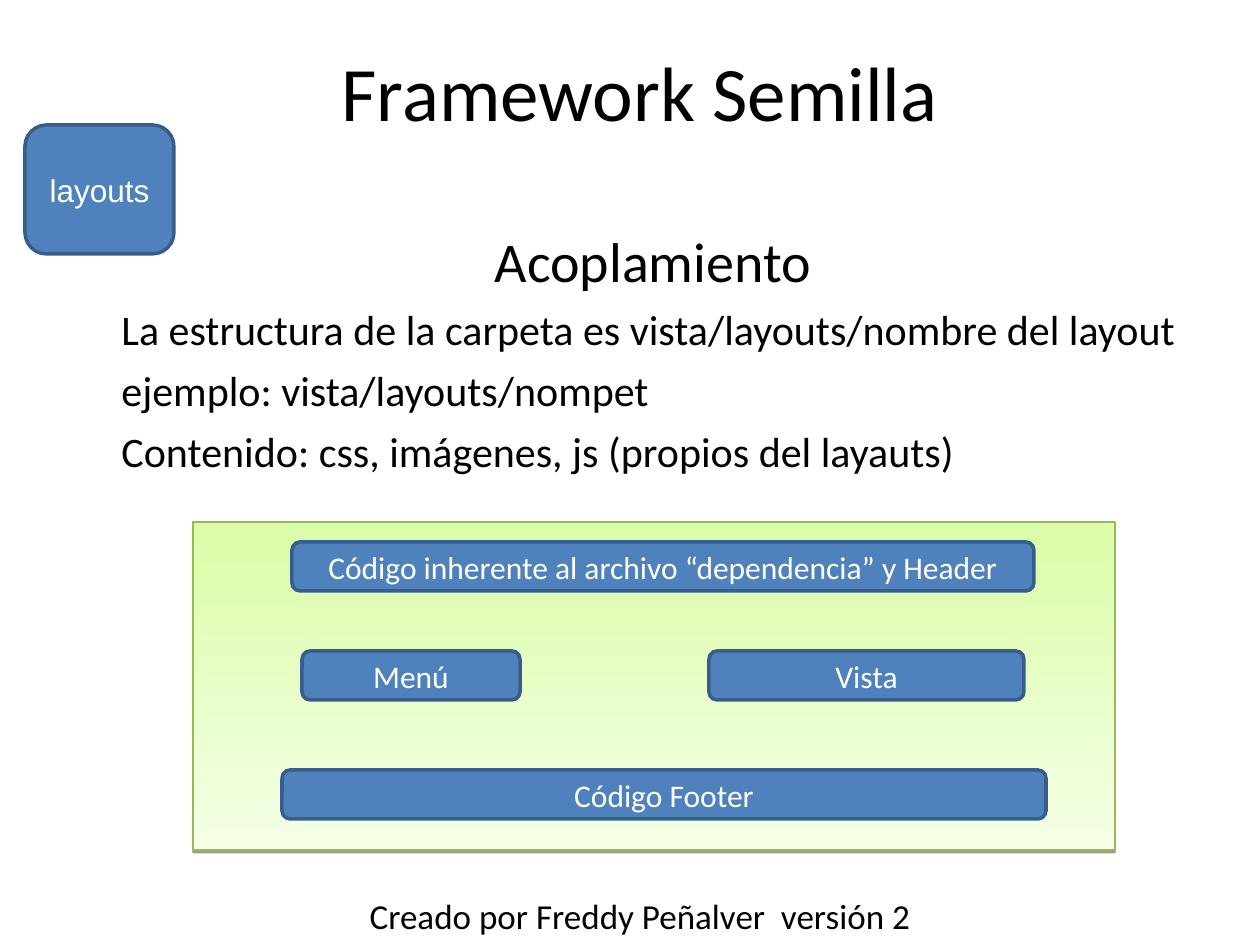
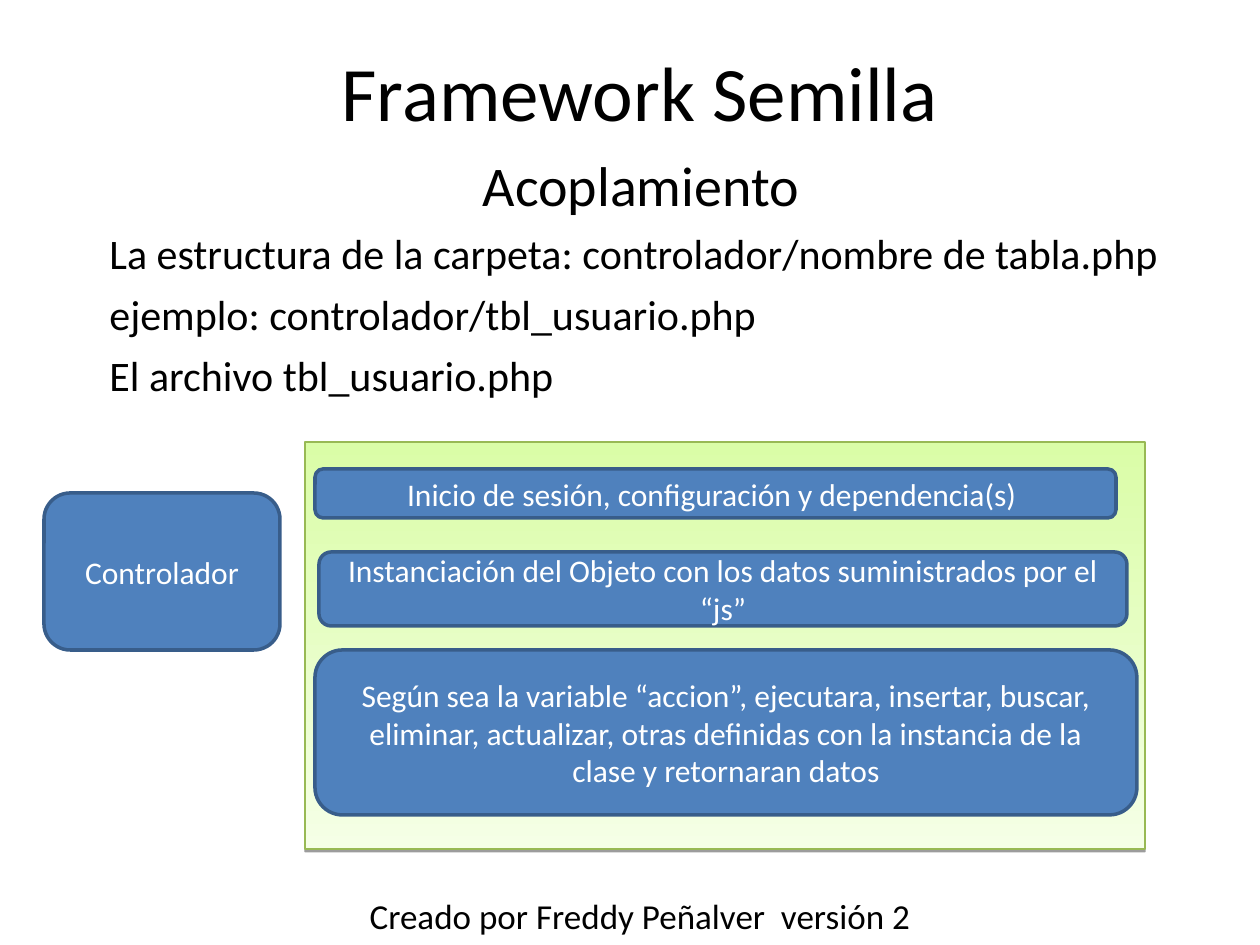
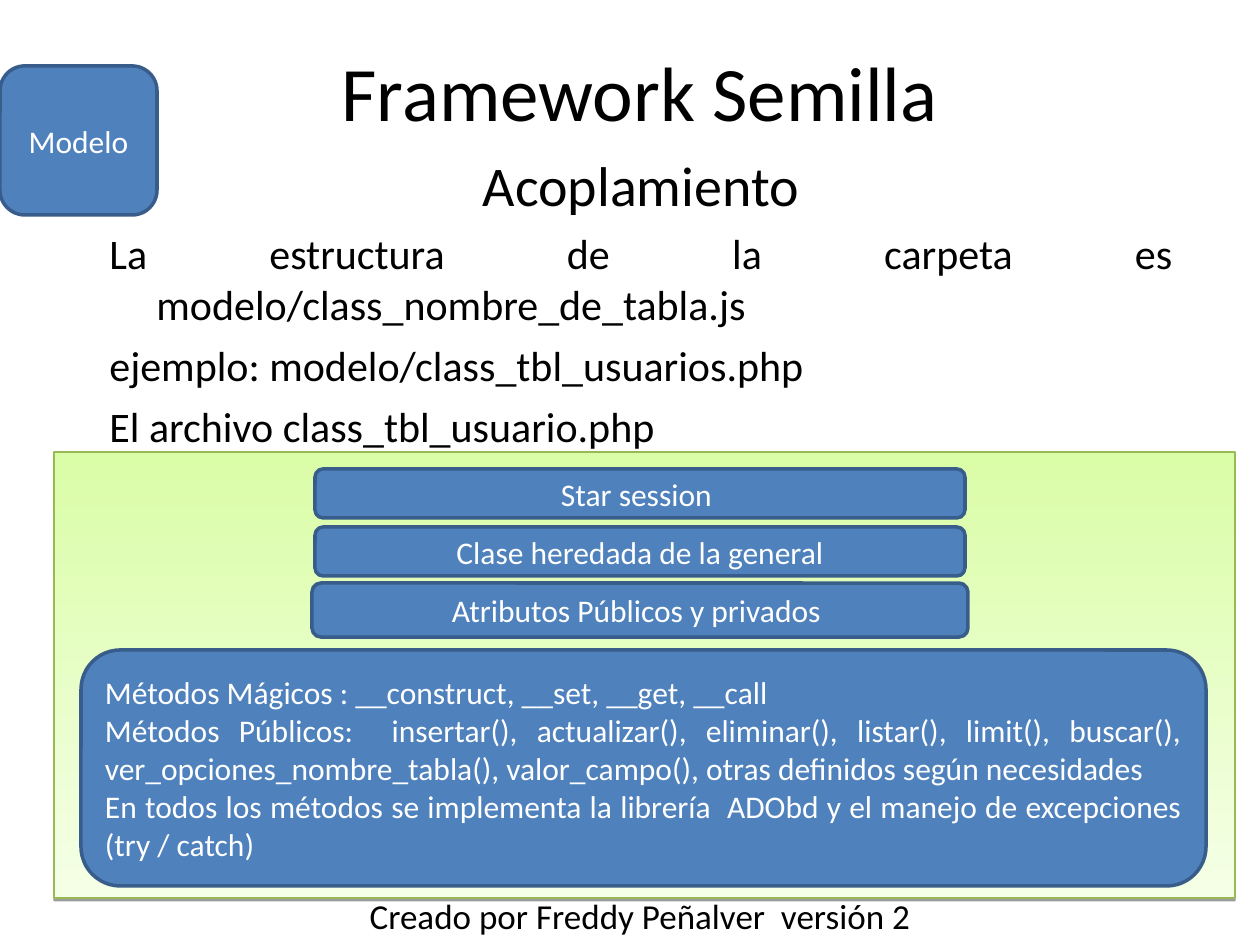
from pptx import Presentation
from pptx.dml.color import RGBColor
from pptx.enum.shapes import MSO_SHAPE
from pptx.enum.text import MSO_ANCHOR, PP_ALIGN
from pptx.oxml import parse_xml
from pptx.oxml.ns import nsdecls, qn
from pptx.util import Pt

PX = 914400 / 126
RECT, ROUND = MSO_SHAPE.RECTANGLE, MSO_SHAPE.ROUNDED_RECTANGLE
TOP, MIDDLE = MSO_ANCHOR.TOP, MSO_ANCHOR.MIDDLE
CENTER, JUSTIFY = PP_ALIGN.CENTER, PP_ALIGN.JUSTIFY

BLACK = RGBColor(0x00, 0x00, 0x00)
WHITE = RGBColor(0xFF, 0xFF, 0xFF)
BLUE = RGBColor(0x4F, 0x81, 0xBD)
NAVY = RGBColor(0x38, 0x5D, 0x8A)
GREEN = RGBColor(0x98, 0xB9, 0x54)
PALE_GREEN = RGBColor(0xF5, 0xFF, 0xE6)
LIGHT_GREEN = RGBColor(0xDA, 0xFD, 0xA7)

HEADING = dict(size=Pt(32), align=CENTER, before=Pt(8), hanging=True)
BODY = dict(size=Pt(24), align=JUSTIFY, before=Pt(6), hanging=True)
TITLE = dict(size=Pt(44), align=CENTER)
FOOTER = dict(size=Pt(20), align=CENTER)
LABEL = dict(size=Pt(18), align=CENTER, color=WHITE)
NOTE = dict(LABEL, align=JUSTIFY)

SHADOW = (
    f'<a:outerShdw {nsdecls("a")} blurRad="0" dist="20320" dir="5400000" rotWithShape="0">'
    '<a:srgbClr val="000000"><a:alpha val="38000"/></a:srgbClr></a:outerShdw>'
)

SLIDES = [
    dict(
        panel=(193, 522, 922, 328),
        body=(108, 220, 1089, 624),
        lines=["La estructura de la carpeta es vista/layouts/nombre del layout",
               "ejemplo: vista/layouts/nompet",
               "Contenido: css, imágenes, js (propios del layauts)"],
        boxes=[
            ((292, 542, 742, 49), ["Código inherente al archivo “dependencia” y Header"], LABEL),
            ((709, 651, 315, 49), ["Vista"], LABEL),
            ((25, 125, 149, 129), ["layouts"], dict(LABEL, font="Arial")),
            ((282, 770, 764, 49), ["Código Footer"], LABEL),
            ((302, 651, 218, 49), ["Menú"], LABEL),
        ],
    ),
    dict(
        panel=(305, 442, 840, 407),
        body=(96, 144, 1089, 711),
        lines=["La estructura de la carpeta: controlador/nombre de tabla.php",
               "ejemplo: controlador/tbl_usuario.php",
               "El archivo tbl_usuario.php"],
        boxes=[
            ((315, 469, 801, 49), ["Inicio de sesión, configuración y dependencia(s) "], LABEL),
            ((319, 552, 808, 74),
             ["Instanciación del Objeto con los datos suministrados por el “js”"], LABEL),
            ((315, 650, 822, 165),
             ["Según sea la variable “accion”, ejecutara, insertar, buscar, eliminar, "
              "actualizar, otras definidas con la instancia de la clase y retornaran datos"], LABEL),
            ((44, 493, 236, 157), ["Controlador"], LABEL),
        ],
    ),
    dict(
        panel=(54, 452, 1181, 446),
        body=(96, 144, 1089, 711),
        lines=["La estructura de la carpeta es modelo/class_nombre_de_tabla.js",
               "ejemplo: modelo/class_tbl_usuarios.php",
               "El archivo class_tbl_usuario.php"],
        boxes=[
            ((315, 469, 650, 49), ["Star session "], LABEL),
            ((315, 527, 650, 49), ["Clase heredada de la general"], LABEL),
            ((312, 583, 656, 54), ["Atributos Públicos y privados "], LABEL),
            ((81, 650, 1125, 236),
             ["Métodos Mágicos : __construct, __set, __get, __call",
              "Métodos Públicos:  insertar(), actualizar(), eliminar(), listar(), limit(), "
              "buscar(), ver_opciones_nombre_tabla(), valor_campo(), otras definidos según "
              "necesidades",
              "En todos los métodos se implementa la librería  ADObd y el manejo de "
              "excepciones (try / catch)"], NOTE),
            ((0, 66, 157, 149), ["Modelo"], LABEL),
        ],
    ),
]


def emu(box):
    return [round(v * PX) for v in box]


def write(sp, paragraphs, anchor=MIDDLE):
    tf = sp.text_frame
    tf.word_wrap = True
    tf.vertical_anchor = anchor
    for i, (text, fmt) in enumerate(paragraphs):
        p = tf.add_paragraph() if i else tf.paragraphs[0]
        p.alignment = fmt["align"]
        p.space_before = fmt.get("before", Pt(0))
        if fmt.get("hanging"):
            pPr = p._p.get_or_add_pPr()
            pPr.set("marL", str(round(48 * PX)))
            pPr.set("indent", str(round(-47 * PX)))
        r = p.add_run()
        r.text = text
        values = dict(size=fmt["size"], name=fmt.get("font", "Calibri"))
        for name, value in values.items():
            setattr(r.font, name, value)
        r.font.color.rgb = fmt.get("color", BLACK)


prs = Presentation()
prs.slide_width, prs.slide_height = emu((1260, 945))

for content in SLIDES:
    s = prs.slides.add_slide(prs.slide_layouts[6])

    panel = s.shapes.add_shape(RECT, *emu(content["panel"]))
    panel.fill.gradient()
    panel.fill.gradient_angle = 90
    for stop, color in zip(panel.fill.gradient_stops, (PALE_GREEN, LIGHT_GREEN)):
        stop.color.rgb = color
    panel.line.color.rgb = GREEN
    panel.line.width = Pt(0.74)
    panel.shadow.inherit = False
    panel._element.spPr.find(qn("a:effectLst")).append(parse_xml(SHADOW))

    body = [("Acoplamiento", HEADING)] + [(line, BODY) for line in content["lines"]]
    for box, paragraphs, anchor in (
        (content["body"], body, TOP),
        ((49, 29, 1182, 123), [("Framework Semilla", TITLE)], MIDDLE),
        ((49, 886, 1182, 59), [("Creado por Freddy Peñalver  versión 2", FOOTER)], MIDDLE),
    ):
        write(s.shapes.add_textbox(*emu(box)), paragraphs, anchor)

    for box, texts, fmt in content["boxes"]:
        sp = s.shapes.add_shape(ROUND, *emu(box))
        sp.shadow.inherit = False
        sp.fill.solid()
        sp.fill.fore_color.rgb = BLUE
        sp.line.color.rgb = NAVY
        sp.line.width = Pt(2)
        write(sp, [(text, fmt) for text in texts])

prs.save("out.pptx")
